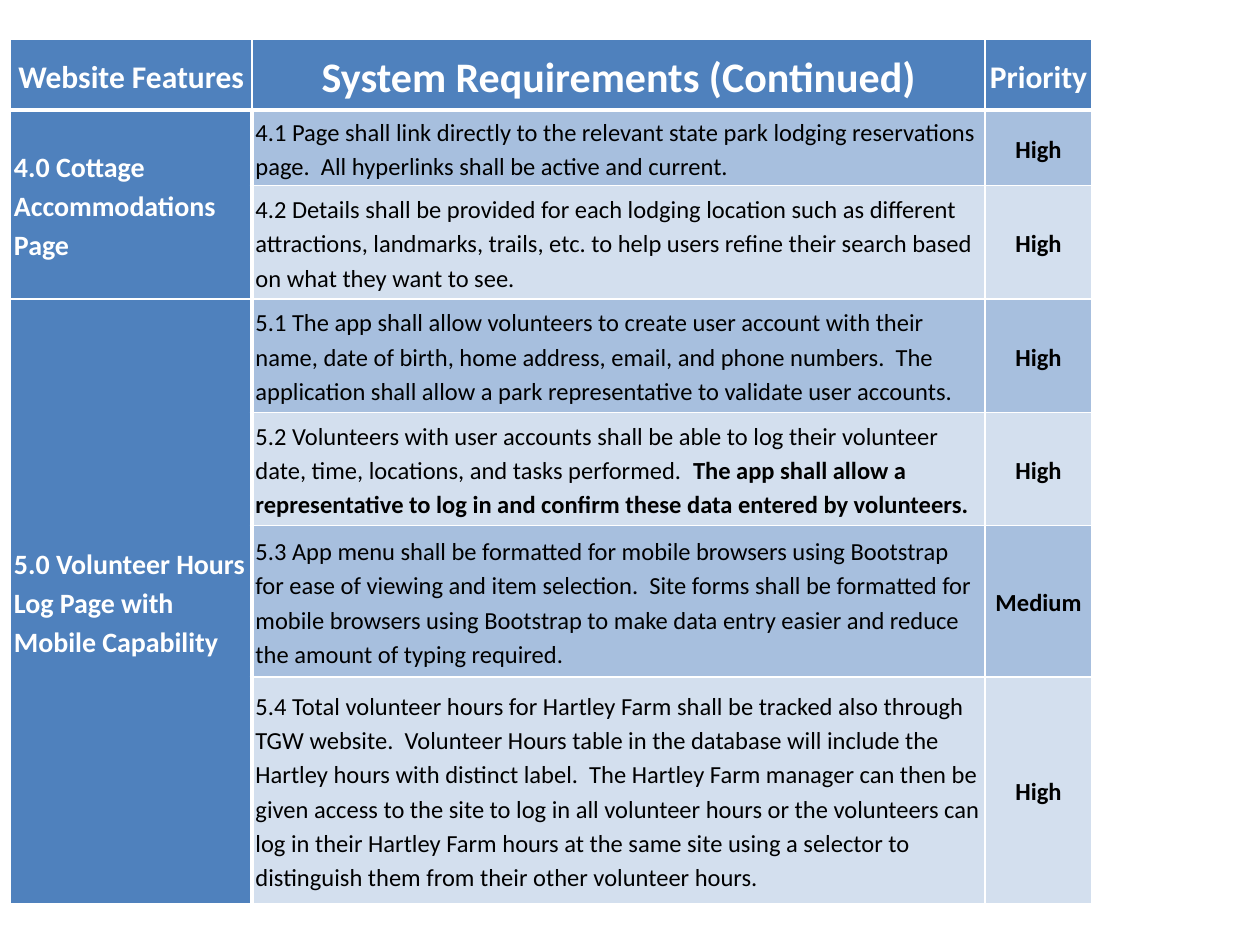
from lxml import etree
from pptx import Presentation
from pptx import util as u
from pptx.dml.color import RGBColor
from pptx.enum import text
from pptx.oxml import ns

COLORS = {"header": "4F81BD", "odd": "A7BFDE", "even": "D3DFEE",
          "line": "FFFFFF", "light": "FFFFFF", "dark": "000000"}
HEADINGS = [("Website Features", 18), ("System Requirements (Continued)", 24), ("Priority", 18)]
COLUMN_WIDTHS = [138, 419, 61]
HEADER_HEIGHT = 40.3
LINE_HEIGHT = 21.6
FEATURES = [
    ("4.0 Cottage Accommodations Page", [
        (2, "High", ["4.1 Page shall link directly to the relevant state park lodging "
                     "reservations page.  All hyperlinks shall be active and current."]),
        (3, "High", ["4.2 Details shall be provided for each lodging location such as "
                     "different attractions, landmarks, trails, etc. to help users refine "
                     "their search based on what they want to see."]),
    ]),
    ("5.0 Volunteer Hours Log Page with Mobile Capability", [
        (3, "High", ["5.1 The app shall allow volunteers to create user account with their "
                     "name, date of birth, home address, email, and phone numbers.  The "
                     "application shall allow a park representative to validate user accounts."]),
        (3, "High", ["5.2 Volunteers with user accounts shall be able to log their volunteer "
                     "date, time, locations, and tasks performed.  ",
                     "The app shall allow a representative to log in and confirm these data "
                     "entered by volunteers."]),
        (4, "Medium", ["5.3 App menu shall be formatted for mobile browsers using Bootstrap "
                       "for ease of viewing and item selection.  Site forms shall be formatted "
                       "for mobile browsers using Bootstrap to make data entry easier and "
                       "reduce the amount of typing required."]),
        (6, "High", ["5.4 Total volunteer hours for Hartley Farm shall be tracked also through "
                     "TGW website.  Volunteer Hours table in the database will include the "
                     "Hartley hours with distinct label.  The Hartley Farm manager can then be "
                     "given access to the site to log in all volunteer hours or the volunteers "
                     "can log in their Hartley Farm hours at the same site using a selector to "
                     "distinguish them from their other volunteer hours."]),
    ]),
]


def rgb(name):
    """Return the named colour."""
    return RGBColor.from_string(COLORS[name])


def write_text(frame, *pieces, size=14, color="dark", bold=(True,), centered=False):
    """Fill the frame's first paragraph with runs, each bold or not."""
    paragraph = frame.paragraphs[0]
    paragraph.line_spacing = 1.15
    paragraph.alignment = text.PP_ALIGN.CENTER if centered else text.PP_ALIGN.LEFT
    for piece, is_bold in zip(pieces, bold):
        run = paragraph.add_run()
        run.text = piece
        run.font.name = "Calibri"
        run.font.size = u.Pt(size)
        run.font.bold = is_bold
        run.font.color.rgb = rgb(color)


def style_cell(cell, fill, left=1, right=1, top=1, bottom=1):
    """Set the margins, anchor, borders and fill of a cell."""
    cell.margin_left = cell.margin_right = u.Pt(2)
    cell.margin_top = cell.margin_bottom = 0
    cell.vertical_anchor = text.MSO_ANCHOR.MIDDLE
    properties = cell._tc.get_or_add_tcPr()
    for side, width in (("L", left), ("R", right), ("T", top), ("B", bottom)):
        line = etree.SubElement(properties, ns.qn("a:ln" + side), w=str(u.Pt(width)))
        solid = etree.SubElement(line, ns.qn("a:solidFill"))
        etree.SubElement(solid, ns.qn("a:srgbClr"), val=COLORS["line"])
    cell.fill.solid()
    cell.fill.fore_color.rgb = rgb(fill)


def add_requirements(slide, left, top):
    """Add the table of requirements, grouped by website feature."""
    requirements = [item for _, items in FEATURES for item in items]
    heights = [HEADER_HEIGHT] + [lines * LINE_HEIGHT for lines, _, _ in requirements]
    table = slide.shapes.add_table(
        len(heights), len(COLUMN_WIDTHS), u.Pt(left), u.Pt(top),
        u.Pt(sum(COLUMN_WIDTHS)), u.Pt(sum(heights))).table
    for column, width in zip(table.columns, COLUMN_WIDTHS):
        column.width = u.Pt(width)
    for row, height in zip(table.rows, heights):
        row.height = u.Pt(height)

    for index, (heading, size) in enumerate(HEADINGS):
        cell = table.cell(0, index)
        style_cell(cell, "header", bottom=3)
        write_text(cell.text_frame, heading, size=size, color="light", centered=True)

    row = 1
    for feature, items in FEATURES:
        first = table.cell(row, 0)
        first.merge(table.cell(row + len(items) - 1, 0))
        write_text(first.text_frame, feature, size=16, color="light")
        for _, priority, pieces in items:
            fill = "odd" if row % 2 else "even"
            above = 3 if row == 1 else 1
            name_cell, detail_cell, priority_cell = (table.cell(row, index) for index in range(3))
            style_cell(name_cell, "header", right=3, top=above)
            style_cell(detail_cell, fill, left=3, top=above)
            style_cell(priority_cell, fill, top=above)
            write_text(detail_cell.text_frame, *pieces, bold=(False, True))
            write_text(priority_cell.text_frame, priority, centered=True)
            row += 1


def main():
    """Build and save the presentation."""
    presentation = Presentation()
    presentation.slide_width, presentation.slide_height = u.Pt(720), u.Pt(540)
    slide = presentation.slides.add_slide(presentation.slide_layouts[6])
    add_requirements(slide, left=6, top=22.5)
    presentation.save("out.pptx")


main()
